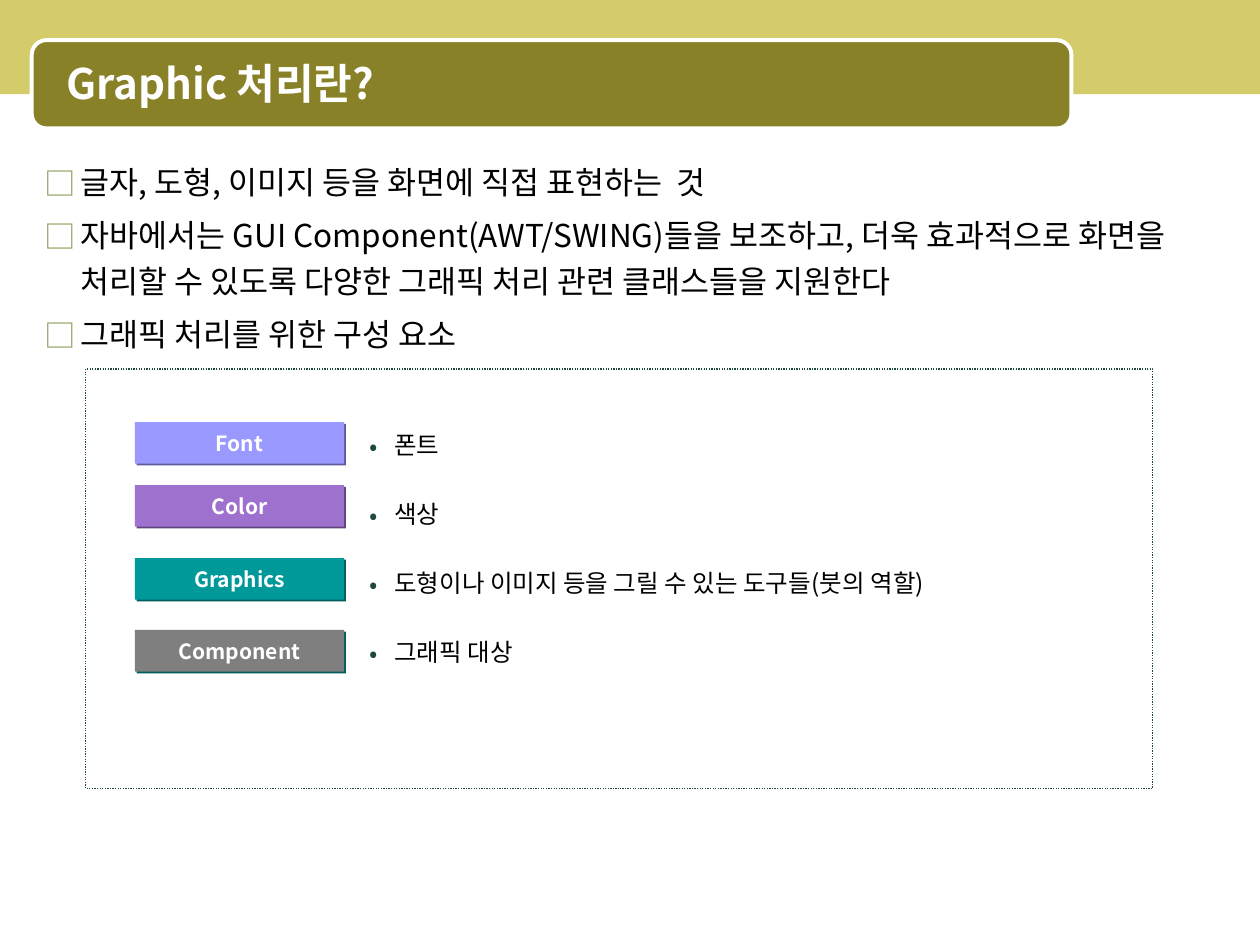
"""Build the slide that introduces graphics processing and its components."""
from dataclasses import dataclass

from lxml import etree
from pptx import Presentation, util as u
from pptx.dml.color import RGBColor
from pptx.enum import dml, shapes, text
from pptx.oxml import ns

TITLE = "Graphic 처리란?"
POINTS = [
    "글자, 도형, 이미지 등을 화면에 직접 표현하는  것",
    "자바에서는 GUI Component(AWT/SWING)들을 보조하고, 더욱 효과적으로 화면을 "
    "처리할 수 있도록 다양한 그래픽 처리 관련 클래스들을 지원한다",
    "그래픽 처리를 위한 구성 요소",
]
COMPONENTS = [
    ("Font", "폰트", 8.51, "9999FF", "5C5C99"),
    ("Color", "색상", 9.78, "9E71CF", "5F447C"),
    ("Graphics", "도형이나 이미지 등을 그릴 수 있는 도구들(붓의 역할)", 11.25, "009999", "005C5C"),
    ("Component", "그래픽 대상", 12.7, "7F7F7F", "005C5C"),
]


@dataclass(frozen=True)
class Theme:
    """Colours, font and type sizes."""
    font: str = "Noto Sans CJK KR"
    band: str = "D4CC6A"
    banner: str = "888128"
    white: str = "FFFFFF"
    black: str = "000000"
    square: str = "8CA35F"
    dark: str = "1D4940"
    title_size: int = 24
    body_size: int = 18
    detail_size: int = 14
    label_size: int = 12


THEME = Theme()


def add_element(parent, tag, **attributes):
    """Append a DrawingML element to a parent."""
    return etree.SubElement(parent, ns.qn(tag), attributes)


def style(paragraph, size, color, bold=False):
    """Set the type of a whole paragraph."""
    font = paragraph.font
    font.name, font.size, font.bold = THEME.font, u.Pt(size), bold
    font.color.rgb = RGBColor.from_string(color)
    properties = paragraph._p.get_or_add_pPr().find(ns.qn("a:defRPr"))
    add_element(properties, "a:ea", typeface=THEME.font)


def add_box(slide, kind, box, fill=None, line=None, width=0):
    """Add a flat shape with optional fill and outline."""
    shape = slide.shapes.add_shape(kind, *map(u.Cm, box))
    shape.shadow.inherit = False
    if fill:
        shape.fill.solid()
        shape.fill.fore_color.rgb = RGBColor.from_string(fill)
    else:
        shape.fill.background()
    if line:
        shape.line.color.rgb = RGBColor.from_string(line)
        shape.line.width = u.Pt(width)
    else:
        shape.line.fill.background()
    return shape


def add_list(slide, box, items, bullet, bullet_color, size, margin, hang, leading, gap):
    """Add a bulleted list with hanging indents."""
    frame = slide.shapes.add_textbox(*map(u.Cm, box)).text_frame
    frame.word_wrap = True
    for index, item in enumerate(items):
        paragraph = frame.add_paragraph() if index else frame.paragraphs[0]
        paragraph.text = item
        properties = paragraph._p.get_or_add_pPr()
        properties.set("marL", str(u.Cm(margin)))
        properties.set("indent", str(-u.Cm(hang)))
        add_element(add_element(properties, "a:buClr"), "a:srgbClr", val=bullet_color)
        add_element(properties, "a:buFont", typeface=THEME.font)
        add_element(properties, "a:buChar", char=bullet)
        paragraph.line_spacing = u.Pt(leading)
        paragraph.space_before = u.Pt(gap if index else 0)
        style(paragraph, size, THEME.black)


def add_label(slide, name, top, fill, shadow):
    """Add a component label with a hard drop shadow."""
    shape = add_box(slide, shapes.MSO_SHAPE.RECTANGLE, (2.72, top, 4.22, 0.84), fill)
    effects = shape._element.spPr.find(ns.qn("a:effectLst"))
    drop = add_element(effects, "a:outerShdw", dist=str(u.Pt(1.4)), dir="2700000", algn="ctr")
    add_element(drop, "a:srgbClr", val=shadow)
    frame = shape.text_frame
    frame.word_wrap = False
    frame.vertical_anchor = text.MSO_ANCHOR.MIDDLE
    paragraph = frame.paragraphs[0]
    paragraph.text = name
    paragraph.alignment = text.PP_ALIGN.CENTER
    style(paragraph, THEME.label_size, THEME.white, True)


def add_title(slide):
    """Add the header band, the banner and the title."""
    add_box(slide, shapes.MSO_SHAPE.RECTANGLE, (-0.02, 0, 25.44, 1.9), THEME.band)
    add_box(slide, shapes.MSO_SHAPE.ROUNDED_RECTANGLE, (0.64, 0.81, 20.96, 1.78),
            THEME.banner, THEME.white, 2.25)
    frame = slide.shapes.add_textbox(*map(u.Cm, (0.84, 0.89, 20.52, 1.57))).text_frame
    frame.word_wrap = True
    frame.vertical_anchor = text.MSO_ANCHOR.MIDDLE
    frame.margin_left = u.Cm(0.5)
    paragraph = frame.paragraphs[0]
    paragraph.text = TITLE
    style(paragraph, THEME.title_size, THEME.white, True)


def main():
    """Assemble and save the slide."""
    presentation = Presentation()
    presentation.slide_width, presentation.slide_height = u.Cm(25.4), u.Cm(19.05)
    slide = presentation.slides.add_slide(presentation.slide_layouts[6])
    add_title(slide)
    add_list(slide, (0.64, 3, 24.13, 15.42), POINTS, "□", THEME.square,
             THEME.body_size, 0.74, 0.74, 26.3, 4)
    frame = add_box(slide, shapes.MSO_SHAPE.RECTANGLE, (1.73, 7.44, 21.51, 8.46),
                    line=THEME.dark, width=0.75)
    frame.line.dash_style = dml.MSO_LINE.ROUND_DOT
    for name, _, top, fill, shadow in COMPONENTS:
        add_label(slide, name, top, fill, shadow)
    details = [detail for _, detail, *_ in COMPONENTS]
    add_list(slide, (5.44, 8.51, 18.44, 6.15), details, "•", THEME.dark,
             THEME.detail_size, 2.26, 0.51, 17.7, 21.7)
    presentation.save("out.pptx")


if __name__ == "__main__":
    main()
